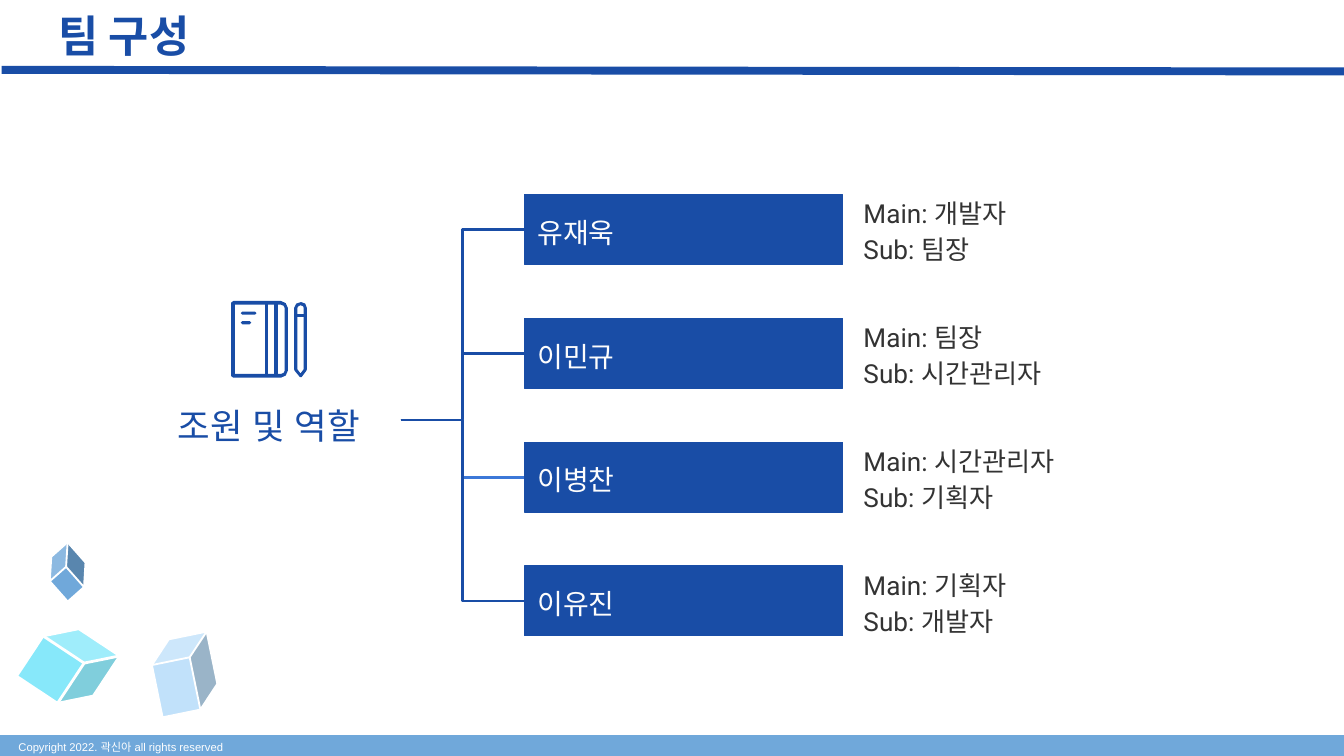
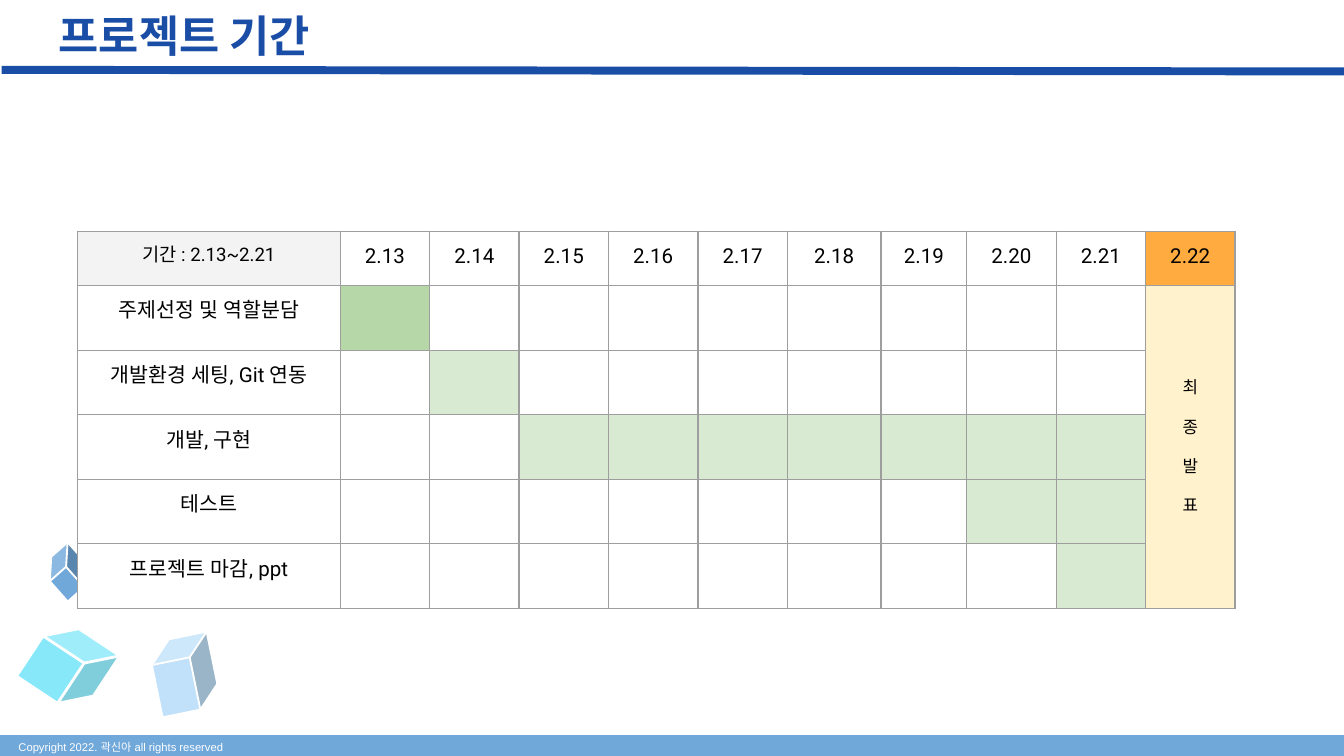
"""Build the team and schedule slides of a project presentation."""
from dataclasses import dataclass

from lxml import etree
from pptx import Presentation
from pptx import util as u
from pptx.dml.color import RGBColor
from pptx.enum import shapes, text
from pptx.oxml.ns import qn

COLORS = {
    "blue": "194DA6", "bright": "3C78D8", "band": "70A8DA", "cyan": "37DAF8",
    "pale": "C1E1FA", "white": "FFFFFF", "name": "FDFDFD", "dark": "333333",
    "black": "000000", "grid": "9E9E9E", "gray": "F3F3F3", "orange": "FFAB40",
    "cream": "FFF2CC", "green": "B6D7A8", "mint": "D9EAD3",
}
INSET = u.Cm(0.25)
ROW_STEP = 2.34


@dataclass(frozen=True)
class Frame:
    """Place and size in centimetres."""
    left: float
    top: float
    width: float
    height: float

    def lengths(self) -> tuple:
        return tuple(u.Cm(v) for v in (self.left, self.top, self.width, self.height))


@dataclass(frozen=True)
class Style:
    """Look of a run of text."""
    size: float
    font: str
    color: str
    bold: bool = False


@dataclass(frozen=True)
class Cube:
    """Decorative cube."""
    frame: Frame
    turn: float
    depth: float
    color: str
    outline: float = 1
    opacity: int = 100


@dataclass(frozen=True)
class Member:
    """Team member with both roles."""
    name: str
    main: str
    sub: str
    link: str = "blue"


@dataclass(frozen=True)
class Task:
    """Schedule row with the first and last filled day columns."""
    label: str
    first: int
    last: int
    color: str = "mint"


TITLE = Style(23.4, "Noto Sans CJK KR", "blue", True)
FOOTER = Style(6, "Arial", "white")
TOPIC = Style(19, "Arial", "blue")
NAME = Style(15, "Arial", "name")
ROLE = Style(14, "Roboto", "dark")
PERIOD = Style(10, "Roboto", "black")
CELL = Style(11, "Roboto", "black")
FINAL = Style(9, "Roboto", "black")

CUBES = [
    Cube(Frame(0.58, 11.89, 1.42, 1.4), 33.5, 0.349, "cyan", 1.5, 60),
    Cube(Frame(0.91, 10.39, 0.74, 0.84), 318.5, 0.444, "band"),
    Cube(Frame(2.92, 12.04, 1.14, 1.42), 348.4, 0.361, "pale"),
]
MEMBERS = [
    Member("유재욱", "개발자", "팀장"),
    Member("이민규", "팀장", "시간관리자"),
    Member("이병찬", "시간관리자", "기획자", "bright"),
    Member("이유진", "기획자", "개발자"),
]
DAYS = [f"2.{day}" for day in range(13, 23)]
TASKS = [
    Task("주제선정 및 역할분담", 1, 1, "green"),
    Task("개발환경 세팅, Git 연동", 2, 2),
    Task("개발, 구현", 3, 9),
    Task("테스트", 8, 9),
    Task("프로젝트 마감, ppt", 9, 9),
]


def rgb(name: str) -> RGBColor:
    """Look up a palette colour."""
    return RGBColor.from_string(COLORS[name])


def write(frame, lines: list, style: Style, align=text.PP_ALIGN.LEFT,
          anchor=text.MSO_ANCHOR.MIDDLE, spacing: float = 1, gap: float = 0) -> None:
    """Fill a text frame with one paragraph per line."""
    frame.word_wrap = True
    frame.auto_size = text.MSO_AUTO_SIZE.NONE
    frame.vertical_anchor = anchor
    frame.margin_left = frame.margin_right = INSET
    frame.margin_top = frame.margin_bottom = INSET
    write_lines(frame, lines, style, align, spacing, gap)


def write_lines(frame, lines: list, style: Style, align, spacing: float, gap: float) -> None:
    """Add formatted paragraphs to a text frame."""
    for index, line in enumerate(lines):
        para = frame.add_paragraph() if index else frame.paragraphs[0]
        para.alignment = align
        para.line_spacing = spacing
        if index and gap:
            para.space_before = u.Pt(gap)
        span = para.add_run()
        span.text = line
        font = span.font
        font.size, font.name, font.bold = u.Pt(style.size), style.font, style.bold
        font.color.rgb = rgb(style.color)
        east = etree.SubElement(span._r.get_or_add_rPr(), qn("a:ea"))
        east.set("typeface", style.font)


def add_text(page, place: Frame, lines: list, style: Style, **options):
    """Add a text box."""
    box = page.shapes.add_textbox(*place.lengths())
    write(box.text_frame, lines, style, **options)
    return box


def add_shape(page, kind, place: Frame, fill: str, line: str, width: float):
    """Add a flat preset shape."""
    shape = page.shapes.add_shape(kind, *place.lengths())
    shape.shadow.inherit = False
    shape.fill.solid()
    shape.fill.fore_color.rgb = rgb(fill)
    shape.line.color.rgb = rgb(line)
    shape.line.width = u.Pt(width)
    return shape


def add_line(page, kind, ends: tuple, color: str, width: float):
    """Add a connector without shadow."""
    line = page.shapes.add_connector(kind, *(u.Cm(v) for v in ends))
    line.line.color.rgb = rgb(color)
    line.line.width = u.Pt(width)
    etree.SubElement(line._element.spPr, qn("a:effectLst"))
    return line


def add_page(deck, heading: str):
    """Add a slide with its title, rules, cubes and footer."""
    page = deck.slides.add_slide(deck.slide_layouts[5])
    straight = shapes.MSO_CONNECTOR.STRAIGHT
    add_line(page, straight, (0, 14.1, 25.4, 14.1), "band", 12)
    for cube in CUBES:
        shape = add_shape(page, shapes.MSO_SHAPE.CUBE, cube.frame, cube.color,
                          "white", cube.outline)
        shape.rotation = cube.turn
        shape.adjustments[0] = cube.depth
        if cube.opacity < 100:
            color = shape._element.spPr.find(qn("a:solidFill"))[0]
            etree.SubElement(color, qn("a:alpha")).set("val", str(cube.opacity * 1000))
    add_text(page, Frame(0.1, 13.74, 5.74, 0.76),
             ["Copyright 2022. 곽신아 all rights reserved"], FOOTER,
             anchor=text.MSO_ANCHOR.TOP)
    add_line(page, straight, (0.03, 1.32, 25.4, 1.35), "blue", 4.25)
    title = page.shapes.title
    title.left, title.top, title.width, title.height = Frame(0.86, 0, 23.67, 1.32).lengths()
    write(title.text_frame, [heading], TITLE)
    return page


def rectangle(left: int, top: int, right: int, bottom: int) -> list:
    """Return the corners of a rectangle."""
    return [(left, top), (right, top), (right, bottom), (left, bottom)]


def dash(right: int, top: int) -> list:
    """Return the outline of a short dash with pointed ends."""
    return [(458, top), (right - 3, top), (right, top + 3),
            (right - 3, top + 6), (458, top + 6), (455, top + 3)]


def add_notebook(page) -> None:
    """Draw the notebook and pencil icon in hundredths of a centimetre."""
    cover = [(441, 569), (531, 569), (540, 573), (544, 582), (544, 701), (540, 710),
             (531, 714), (441, 714), (437, 711), (437, 572)]
    sheet = [(444, 576), (531, 576), (536, 578), (538, 582), (538, 701), (536, 705),
             (531, 707), (444, 707)]
    pencil = [(569, 571), (577, 574), (580, 582), (580, 698), (579, 701), (570, 713),
              (567, 713), (557, 701), (556, 698), (556, 582), (560, 574)]
    core = [(568, 577), (573, 579), (574, 582), (574, 698), (568, 706), (562, 698),
            (562, 582), (564, 579)]
    pieces = [[rectangle(518, 574, 525, 711)], [rectangle(500, 574, 507, 711)],
              [rectangle(559, 594, 577, 599)], [cover, sheet], [pencil, core],
              [dash(485, 589)], [dash(475, 607)]]
    for outlines in pieces:
        builder = page.shapes.build_freeform(*outlines[0][0], scale=u.Cm(0.01))
        builder.add_line_segments(outlines[0][1:], close=True)
        for outline in outlines[1:]:
            builder.move_to(*outline[0])
            builder.add_line_segments(outline[1:], close=True)
        shape = builder.convert_to_shape()
        shape.shadow.inherit = False
        shape.fill.solid()
        shape.fill.fore_color.rgb = rgb("blue")
        shape.line.fill.background()


def build_team(deck) -> None:
    """Build the team chart."""
    page = add_page(deck, "팀 구성")
    topic = add_text(page, Frame(2.59, 7.19, 4.98, 1.5), ["조원 및 역할"], TOPIC,
                     align=text.PP_ALIGN.CENTER, anchor=text.MSO_ANCHOR.BOTTOM, spacing=1.15)
    for index, member in enumerate(MEMBERS):
        shift = index * ROW_STEP
        add_text(page, Frame(16.07, 3.35 + shift, 9.25, 1.96),
                 [f"Main: {member.main}", f"Sub: {member.sub}"], ROLE, spacing=1.15)
        box = add_shape(page, shapes.MSO_SHAPE.RECTANGLE,
                        Frame(9.91, 3.68 + shift, 6.02, 1.32), "blue", "blue", 0.75)
        write(box.text_frame, [member.name], NAME, spacing=1.15)
        link = add_line(page, shapes.MSO_CONNECTOR.ELBOW,
                        (7.57, 7.94, 9.91, 4.34 + shift), member.link, 1.5)
        link.begin_connect(topic, 3)
        link.end_connect(box, 1)
    add_notebook(page)


def format_cell(cell, fill: str) -> None:
    """Give a cell its borders, margins and fill."""
    props = cell._tc.get_or_add_tcPr()
    for side in ("a:lnL", "a:lnR", "a:lnT", "a:lnB"):
        border = etree.SubElement(props, qn(side), w=str(u.Pt(0.75)))
        solid = etree.SubElement(border, qn("a:solidFill"))
        etree.SubElement(solid, qn("a:srgbClr"), val=COLORS["grid"])
    cell.margin_left = cell.margin_right = INSET
    cell.margin_top = cell.margin_bottom = INSET
    if fill:
        cell.fill.solid()
        cell.fill.fore_color.rgb = rgb(fill)
    else:
        cell.fill.background()


def cell_fill(row: int, column: int) -> str:
    """Return the fill colour of a schedule cell, or nothing."""
    if column == len(DAYS):
        return "cream" if row else "orange"
    if row:
        task = TASKS[row - 1]
        if task.first <= column <= task.last:
            return task.color
    elif column == 0:
        return "gray"
    return "white" if column in (0, 5, 6) else ""


def build_schedule(deck) -> None:
    """Build the schedule table."""
    page = add_page(deck, "프로젝트 기간")
    widths = [4.96] + [1.69] * 5 + [1.77, 1.62] + [1.69] * 3
    heights = [1.03] + [1.22] * len(TASKS)
    place = Frame(1.47, 4.37, sum(widths), sum(heights))
    table = page.shapes.add_table(len(heights), len(widths), *place.lengths()).table
    table.first_row = table.horz_banding = False
    for column, width in zip(table.columns, widths):
        column.width = u.Cm(width)
    for line, height in zip(table.rows, heights):
        line.height = u.Cm(height)
    labels = {(0, column): day for column, day in enumerate(DAYS, 1)}
    labels.update({(row, 0): task.label for row, task in enumerate(TASKS, 1)})
    labels[0, 0] = "기간 : 2.13~2.21"
    center = text.PP_ALIGN.CENTER
    for row in range(len(heights)):
        for column in range(len(widths)):
            cell = table.cell(row, column)
            format_cell(cell, cell_fill(row, column))
            if (row, column) in labels:
                style = CELL if row or column else PERIOD
                write_lines(cell.text_frame, [labels[row, column]], style, center, 1, 0)
            else:
                cell.text_frame.paragraphs[0].font.size = u.Pt(CELL.size)
    final = table.cell(1, len(DAYS))
    final.merge(table.cell(len(TASKS), len(DAYS)))
    final.vertical_anchor = text.MSO_ANCHOR.MIDDLE
    write_lines(final.text_frame, list("최종발표"), FINAL, center, 1, 10.5)


def main() -> None:
    """Build and save the deck."""
    deck = Presentation()
    deck.slide_width, deck.slide_height = u.Cm(25.4), u.Cm(14.29)
    build_team(deck)
    build_schedule(deck)
    deck.save("out.pptx")


if __name__ == "__main__":
    main()
